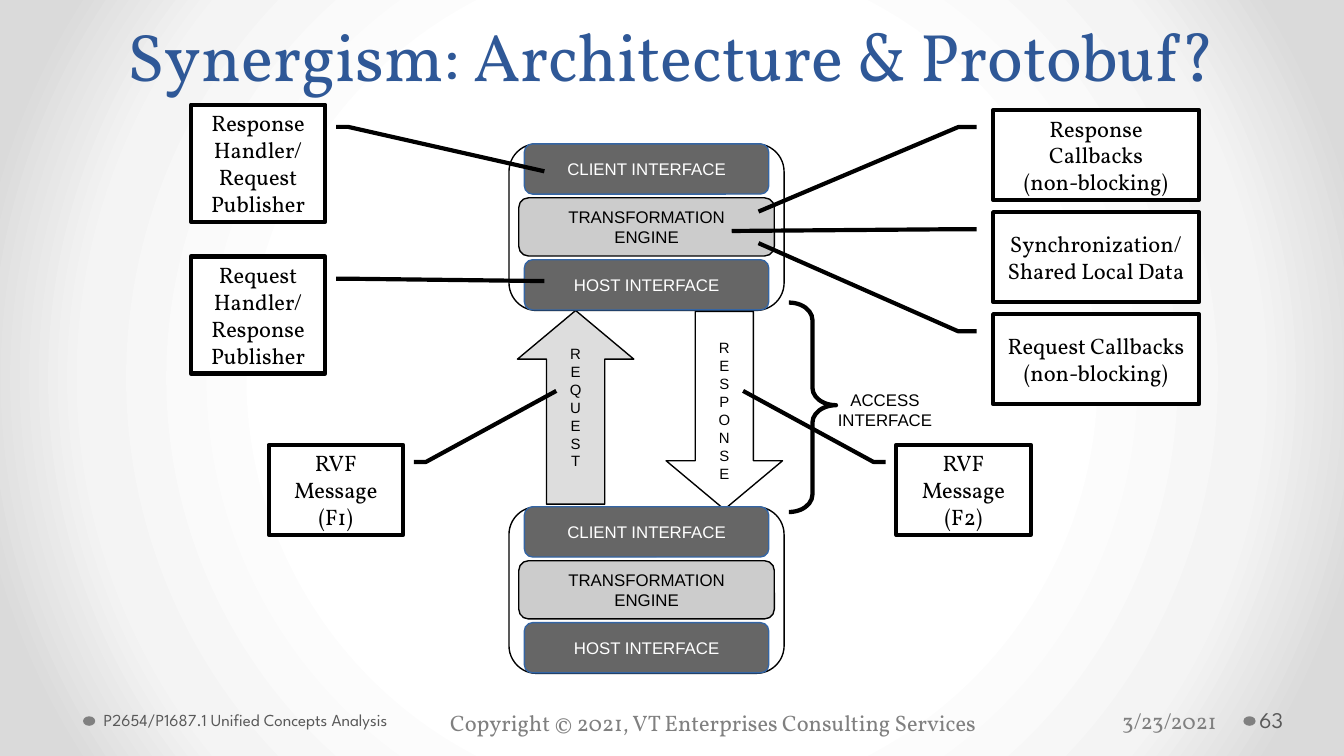
"""Build the slide showing two layered nodes joined by request and response arrows."""
from dataclasses import dataclass

from lxml import etree
from pptx import Presentation
from pptx.dml.color import RGBColor
from pptx.enum import shapes, text
from pptx.oxml import ns, parse_xml
from pptx.util import Cm, Pt

BLACK = RGBColor(0x00, 0x00, 0x00)
WHITE = RGBColor(0xFF, 0xFF, 0xFF)
TITLE_BLUE = RGBColor(0x2F, 0x58, 0x97)
BORDER_BLUE = RGBColor(0x34, 0x65, 0xA4)
DARK_GREY = RGBColor(0x66, 0x66, 0x66)
LAYER_GREY = RGBColor(0xCC, 0xCC, 0xCC)
ARROW_GREY = RGBColor(0xDD, 0xDD, 0xDD)
FOOTER_GREY = RGBColor(0x80, 0x80, 0x80)
NOTE_GREY = RGBColor(0x59, 0x59, 0x59)
BACKDROP_STOPS = ((0, WHITE), (50, WHITE), (76, RGBColor(0xF4, 0xF4, 0xF4)),
                  (92, RGBColor(0xDA, 0xDA, 0xDA)), (100, RGBColor(0xDA, 0xDA, 0xDA)))
SERIF, SANS, FOOTER_SANS = "Vollkorn", "Arial", "League Spartan"
NODE_CENTER = 12.22
SHAFT_HALF, HEAD_HALF, HEAD_LENGTH = 0.55, 1.1, 0.92
DEFAULT_INSETS = (0.25, 0.13, 0.25, 0.13)
MIDDLE, TOP = text.MSO_ANCHOR.MIDDLE, text.MSO_ANCHOR.TOP
CENTER, LEFT = text.PP_ALIGN.CENTER, text.PP_ALIGN.LEFT


@dataclass
class Layer:
    label: str
    offset: float
    width: float
    height: float
    fill: RGBColor
    line: RGBColor
    color: RGBColor


@dataclass
class Arrow:
    label: str
    center: float
    tip: float
    tail: float
    fill: RGBColor


@dataclass
class Callout:
    label: str
    box: tuple[float, float, float, float]
    target: tuple[float, float]
    flipped: bool = False


@dataclass
class Footer:
    label: str
    box: tuple[float, float, float, float]
    font: str
    size: float
    color: RGBColor
    anchor: text.MSO_ANCHOR = TOP
    insets: tuple[float, float, float, float] = DEFAULT_INSETS


LAYERS = (
    Layer("", 0, 5.2, 3.15, WHITE, BLACK, BLACK),
    Layer("HOST INTERFACE", 2.19, 4.62, 0.95, DARK_GREY, BORDER_BLUE, WHITE),
    Layer("TRANSFORMATION\vENGINE", 1.02, 4.83, 1.1, LAYER_GREY, BLACK, BLACK),
    Layer("CLIENT INTERFACE", 0, 4.62, 0.95, DARK_GREY, BORDER_BLUE, WHITE),
)
NODE_TOPS = (2.72, 9.58)
ARROWS = (
    Arrow("REQUEST", 10.88, 5.87, 9.53, ARROW_GREY),
    Arrow("RESPONSE", 13.69, 9.63, 5.89, WHITE),
)
CALLOUTS = (
    Callout("RVF\vMessage (F1)", (5.08, 8.41, 2.54, 1.7), (-0.6, -1.14), True),
    Callout("RVF\vMessage (F2)", (16.94, 8.41, 2.54, 1.7), (-0.6, -1.14)),
    Callout("Request Callbacks\v(non-blocking)", (18.77, 5.94, 3.89, 1.7), (-0.79, -1.14)),
    Callout("Response\vHandler/\vRequest\vPublisher", (3.61, 1.98, 2.54, 2.21), (0.57, -1.63), True),
    Callout("Request\vHandler/\vResponse\vPublisher", (3.61, 4.85, 2.54, 2.21), (0.21, -1.63), True),
    Callout("Response Callbacks\v(non-blocking)", (18.77, 2.08, 3.89, 1.7), (1.13, -1.14)),
    Callout("Synchronization/\vShared Local Data", (18.77, 4.01, 3.89, 1.7), (0.21, -1.27)),
)
FOOTERS = (
    Footer("Copyright © 2021, VT Enterprises Consulting Services",
           (8.26, 13.28, 10.8, 0.76), SERIF, 12, FOOTER_GREY),
    Footer("3/23/2021", (20.96, 13.23, 2.51, 0.76), SERIF, 12, FOOTER_GREY),
    Footer("P2654/P1687.1 Unified Concepts Analysis", (1.83, 13.23, 7.9, 0.76),
           FOOTER_SANS, 9, NOTE_GREY, MIDDLE, (0.13, 0.13, 0.25, 0.13)),
    Footer("63", (23.72, 13.23, 1.55, 0.76),
           FOOTER_SANS, 12, NOTE_GREY, MIDDLE, (0.08, 0.13, 0.13, 0.13)),
)


def lengths(*values: float) -> list[Cm]:
    return [Cm(value) for value in values]


def write(shape, label: str, font: str, size: float, color: RGBColor,
          align=CENTER, anchor=MIDDLE, insets=DEFAULT_INSETS) -> None:
    frame = shape.text_frame
    frame.text = label
    frame.word_wrap = True
    frame.vertical_anchor = anchor
    frame.margin_left, frame.margin_top, frame.margin_right, frame.margin_bottom = lengths(*insets)
    paragraph = frame.paragraphs[0]
    paragraph.alignment = align
    for run in paragraph.runs:
        run.font.name, run.font.size = font, Pt(size)
        run.font.color.rgb = color
    for line_break in shape.element.iter(ns.qn("a:br")):
        etree.SubElement(line_break, ns.qn("a:rPr"), sz=str(int(size * 100)))


def style(shape, fill: RGBColor, line: RGBColor, width: float) -> None:
    shape.shadow.inherit = False
    shape.fill.solid()
    shape.fill.fore_color.rgb = fill
    shape.line.color.rgb = line
    shape.line.width = Pt(width)


def paint_background(slide) -> None:
    stops = "".join(f'<a:gs pos="{position * 1000}"><a:srgbClr val="{color}"/></a:gs>'
                    for position, color in BACKDROP_STOPS)
    fill = slide.background.fill
    fill.solid()
    solid = next(slide.element.iter(ns.qn("a:solidFill")))
    solid.getparent().replace(solid, parse_xml(
        f'<a:gradFill {ns.nsdecls("a")} rotWithShape="1"><a:gsLst>{stops}</a:gsLst><a:path path="circle">'
        '<a:fillToRect l="50000" t="50000" r="50000" b="50000"/></a:path></a:gradFill>'))


def draw_title(slide) -> None:
    title = slide.shapes.title
    title.left, title.top, title.width, title.height = lengths(1.27, -0.36, 22.86, 2.29)
    write(title, "Synergism: Architecture & Protobuf?", SERIF, 36, TITLE_BLUE,
          anchor=text.MSO_ANCHOR.BOTTOM)
    title.text_frame.auto_size = text.MSO_AUTO_SIZE.NONE
    title.text_frame.paragraphs[0].line_spacing = Pt(58)


def draw_footer(slide, footer: Footer) -> None:
    box = slide.shapes.add_textbox(*lengths(*footer.box))
    write(box, footer.label, footer.font, footer.size, footer.color, LEFT, footer.anchor, footer.insets)


def draw_dot(slide, left: float) -> None:
    dot = slide.shapes.add_shape(shapes.MSO_SHAPE.OVAL, *lengths(left, 13.54, 0.23, 0.18))
    style(dot, FOOTER_GREY, FOOTER_GREY, 0)
    dot.line.fill.background()


def draw_arrow(slide, arrow: Arrow) -> None:
    neck = arrow.tip + (HEAD_LENGTH if arrow.tail > arrow.tip else -HEAD_LENGTH)
    half = [(SHAFT_HALF, arrow.tail), (SHAFT_HALF, neck), (HEAD_HALF, neck)]
    points = [(-x, y) for x, y in half] + [(0, arrow.tip)] + half[::-1]
    outline = [tuple(lengths(arrow.center + x, y)) for x, y in points]
    builder = slide.shapes.build_freeform(*outline[0])
    builder.add_line_segments(outline[1:], close=True)
    shape = builder.convert_to_shape()
    style(shape, arrow.fill, BLACK, 0.75)
    write(shape, arrow.label, SANS, 8, BLACK)
    shape.text_frame._txBody.bodyPr.set("vert", "wordArtVert")


def draw_layer(slide, layer: Layer, node_top: float) -> None:
    shape = slide.shapes.add_shape(
        shapes.MSO_SHAPE.ROUNDED_RECTANGLE,
        *lengths(NODE_CENTER - layer.width / 2, node_top + layer.offset, layer.width, layer.height))
    style(shape, layer.fill, layer.line, 0.75)
    if layer.label:
        write(shape, layer.label, SANS, 9, layer.color)


def draw_access_interface(slide) -> None:
    brace = slide.shapes.add_shape(shapes.MSO_SHAPE.RIGHT_BRACE, *lengths(14.91, 5.72, 0.89, 3.96))
    brace.adjustments[0], brace.adjustments[1] = 0.37, 0.49
    style(brace, WHITE, BLACK, 2.3)
    brace.fill.background()
    label = slide.shapes.add_textbox(*lengths(15.44, 7.24, 2.57, 0.81))
    write(label, "ACCESS\vINTERFACE", SANS, 9, BLACK, anchor=TOP)


def draw_callout(slide, callout: Callout) -> None:
    shape = slide.shapes.add_shape(shapes.MSO_SHAPE.LINE_CALLOUT_2, *lengths(*callout.box))
    for index, value in enumerate((0.19, -0.08, 0.19, -0.17, *callout.target)):
        shape.adjustments[index] = value
    if callout.flipped:
        shape.element.spPr.find(ns.qn("a:xfrm")).set("flipH", "1")
    style(shape, WHITE, BLACK, 2.25)
    write(shape, callout.label, SERIF, 12, BLACK)


def main() -> None:
    presentation = Presentation()
    presentation.slide_width, presentation.slide_height = lengths(25.4, 14.29)
    slide = presentation.slides.add_slide(presentation.slide_layouts[5])
    paint_background(slide)
    draw_title(slide)
    for left in (23.5, 1.57):
        draw_dot(slide, left)
    for footer in FOOTERS:
        draw_footer(slide, footer)
    for arrow in ARROWS:
        draw_arrow(slide, arrow)
    for node_top in NODE_TOPS:
        for layer in LAYERS:
            draw_layer(slide, layer, node_top)
    draw_access_interface(slide)
    for callout in CALLOUTS:
        draw_callout(slide, callout)
    presentation.save("out.pptx")


if __name__ == "__main__":
    main()
